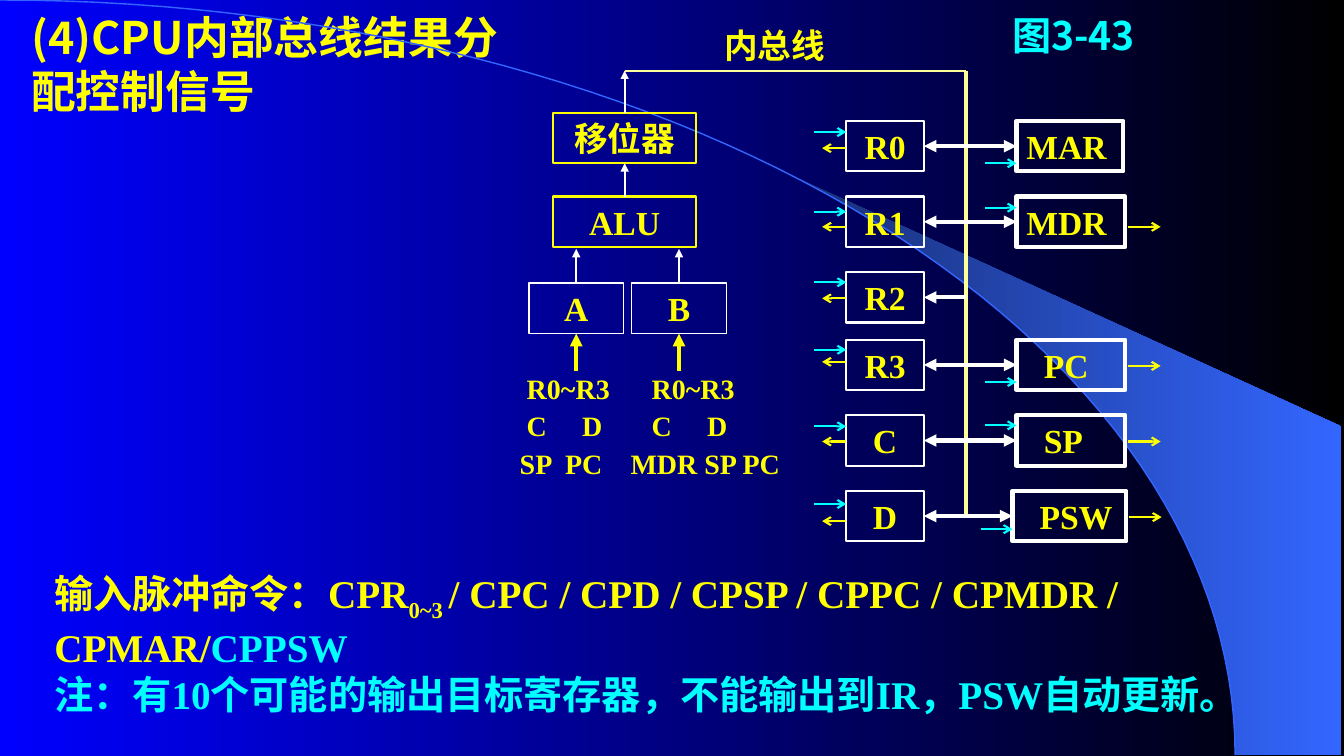
from math import cos, pi, sin

from lxml.etree import SubElement
from pptx import Presentation
from pptx.dml.color import RGBColor
from pptx.enum.shapes import MSO_CONNECTOR as CONNECTOR, MSO_SHAPE as SHAPE
from pptx.enum.text import MSO_ANCHOR as ANCHOR, MSO_AUTO_SIZE as AUTO_SIZE, PP_ALIGN as ALIGN
from pptx.oxml.ns import qn
from pptx.util import Inches, Pt

YELLOW = RGBColor(0xFF, 0xFF, 0x00)
CYAN = RGBColor(0x00, 0xFF, 0xFF)
WHITE = RGBColor(0xFF, 0xFF, 0xFF)
BUS_YELLOW = RGBColor(0xFF, 0xFF, 0x99)
BLUE = RGBColor(0x00, 0x00, 0xFF)
BLACK = RGBColor(0x00, 0x00, 0x00)
NAVY = RGBColor(0x18, 0x2F, 0x76)
SKY = RGBColor(0x33, 0x66, 0xFF)
SERIF = "Times New Roman"
SANS = "Noto Sans CJK SC"

TOP, LEFT, BOTTOM, RIGHT = range(4)
BOX_HEIGHT = 0.5
REGISTER_X, REGISTER_WIDTH = 8.4, 0.77
BUS_X, BUS_Y = 9.59, 0.7
SHIFTER_X = 6.2

# name, top, input pulse y, output y
REGISTERS = [
    ("R0", 1.2, 1.31, 1.47),
    ("R1", 1.95, 2.1, 2.25),
    ("R2", 2.7, 2.8, 2.96),
    ("R3", 3.37, 3.47, 3.59),
    ("C", 4.12, 4.23, 4.38),
    ("D", 4.87, 5.0, 5.17),
]
# facing register: name, left, width, text indent, input pulse y, output y
PARTNERS = {
    "R0": ("MAR", 10.09, 1.06, 0, 1.62, None),
    "R1": ("MDR", 10.09, 1.08, 0, 2.06, 2.25),
    "R3": ("PC", 10.09, 1.08, 0.17, 3.79, 3.63),
    "C": ("SP", 10.09, 1.08, 0.17, 4.22, 4.38),
    "D": ("PSW", 10.05, 1.13, 0.17, 5.25, 5.13),
}


def add_run(paragraph, text, size, color=YELLOW, font=SERIF, baseline=0):
    run = paragraph.add_run()
    run.text = text
    run.font.size = Pt(size)
    run.font.bold = True
    run.font.color.rgb = color
    run.font.name = font
    properties = run._r.get_or_add_rPr()
    SubElement(properties, qn("a:ea")).set("typeface", SANS)
    if baseline:
        properties.set("baseline", str(baseline * 1000))


def add_text_box(slide, x, y, width, height):
    frame = slide.shapes.add_textbox(Inches(x), Inches(y), Inches(width), Inches(height)).text_frame
    frame.word_wrap = True
    return frame


def add_label(slide, text, x, y, width, height, size, color, font):
    paragraph = add_text_box(slide, x, y, width, height).paragraphs[0]
    paragraph.alignment = ALIGN.CENTER
    add_run(paragraph, text, size, color, font)


def add_unit(slide, name, x, y, width, color=WHITE, weight=1.5, align=ALIGN.CENTER, indent=0):
    """Outlined box for a register or an arithmetic unit."""
    unit = slide.shapes.add_shape(SHAPE.RECTANGLE, Inches(x), Inches(y),
                                  Inches(width), Inches(BOX_HEIGHT))
    unit.shadow.inherit = False
    unit.fill.background()
    unit.line.color.rgb = color
    unit.line.width = Pt(weight)
    frame = unit.text_frame
    frame.word_wrap = True
    frame.vertical_anchor = ANCHOR.TOP
    frame.margin_left = Inches(0.1 + indent)
    frame.paragraphs[0].alignment = align
    add_run(frame.paragraphs[0], name, 24)
    return unit


def add_wire(slide, start, end, color=WHITE, weight=1.5, head=None, tail=None):
    """Line whose ends are either (x, y) points or (unit, side) joints."""
    wire = slide.shapes.add_connector(CONNECTOR.STRAIGHT, 0, 0, 0, 0)
    first, second = start
    if isinstance(first, (int, float)):
        wire.begin_x, wire.begin_y = Inches(first), Inches(second)
    else:
        wire.begin_connect(first, second)
    first, second = end
    if isinstance(first, (int, float)):
        wire.end_x, wire.end_y = Inches(first), Inches(second)
    else:
        wire.end_connect(first, second)
    wire.line.color.rgb = color
    wire.line.width = Pt(weight)
    outline = wire.line._get_or_add_ln()
    for tag, kind in (("a:headEnd", head), ("a:tailEnd", tail)):
        if kind:
            SubElement(outline, qn(tag)).set("type", kind)
    SubElement(wire._element.spPr, qn("a:effectLst"))


def set_gradient(fill, start, end):
    fill.gradient()
    fill.gradient_angle = 0
    for stop, color in zip(fill.gradient_stops, (start, end)):
        stop.color.rgb = color


def add_outline(slide, points, close):
    corners = [(Inches(x), Inches(y)) for x, y in points]
    builder = slide.shapes.build_freeform(*corners[0])
    builder.add_line_segments(corners[1:], close=close)
    outline = builder.convert_to_shape()
    outline.shadow.inherit = False
    return outline


def horizon(start, steps=60):
    """Points of the quarter ellipse from the start angle to its right end."""
    angles = [start + (pi / 2 - start) * step / steps for step in range(steps + 1)]
    return [(12.26 * sin(angle), 7.49 * (1 - cos(angle))) for angle in angles]


def add_backdrop(slide):
    set_gradient(slide.background.fill, BLUE, BLACK)
    beam = add_outline(slide, horizon(0.696) + [(13.31, 7.49), (13.31, 4.23)], True)
    set_gradient(beam.fill, NAVY, SKY)
    beam.line.fill.background()
    arc = add_outline(slide, horizon(0), False)
    arc.fill.background()
    arc.line.color.rgb = SKY
    arc.line.width = Pt(1)


def set_title(slide):
    title = slide.shapes.title
    title.left, title.top, title.width, title.height = map(Inches, (0.21, 0.05, 5.04, 1.17))
    frame = title.text_frame
    frame.auto_size = AUTO_SIZE.NONE
    frame.vertical_anchor = ANCHOR.TOP
    frame.paragraphs[0].alignment = ALIGN.LEFT
    add_run(frame.paragraphs[0], "(4)CPU内部总线结果分配控制信号", 32, font=SANS)


def add_arithmetic_path(slide):
    shifter = add_unit(slide, "移位器", 5.49, 1.12, 1.42, YELLOW)
    alu = add_unit(slide, "ALU", 5.49, 1.95, 1.42, YELLOW)
    add_wire(slide, (shifter, TOP), (SHIFTER_X, BUS_Y), tail="triangle")
    add_wire(slide, (alu, TOP), (shifter, BOTTOM), tail="triangle")
    for name, x in (("A", 5.25), ("B", 6.27)):
        latch = add_unit(slide, name, x, 2.81, 0.94, weight=1)
        center = x + 0.47
        add_wire(slide, (latch, TOP), (center, 2.47), tail="triangle")
        add_wire(slide, (center, 3.68), (latch, BOTTOM), YELLOW, 3, tail="triangle")


def add_latch_sources(slide):
    frame = add_text_box(slide, 4.86, 3.75, 3.15, 1.05)
    lines = [
        ("\tR0~R3\tR0~R3", (0.27, 1.51)),
        ("\tC\tD\tC\tD", (0.27, 0.82, 1.51, 2.06)),
        ("\tSP\tPC\tMDR SP PC", (0.2, 0.65, 1.3)),
    ]
    for index, (text, stops) in enumerate(lines):
        paragraph = frame.add_paragraph() if index else frame.paragraphs[0]
        paragraph.line_spacing = 0.6
        paragraph.space_before = Pt(12.5 if index else 0)
        tabs = SubElement(paragraph._p.get_or_add_pPr(), qn("a:tabLst"))
        for stop in stops:
            SubElement(tabs, qn("a:tab"), pos=str(Inches(stop)), algn="l")
        add_run(paragraph, text, 20)


def add_registers(slide):
    add_wire(slide, (SHIFTER_X, BUS_Y), (BUS_X, BUS_Y), BUS_YELLOW)
    add_wire(slide, (BUS_X, BUS_Y), (BUS_X, 5.1), BUS_YELLOW, 3)
    for name, top, input_y, output_y in REGISTERS:
        register = add_unit(slide, name, REGISTER_X, top, REGISTER_WIDTH)
        add_wire(slide, (REGISTER_X - 0.32, input_y), (REGISTER_X, input_y), CYAN, tail="arrow")
        add_wire(slide, (REGISTER_X, output_y), (REGISTER_X - 0.24, output_y), YELLOW, tail="arrow")
        if name not in PARTNERS:
            add_wire(slide, (BUS_X, top + BOX_HEIGHT / 2), (register, RIGHT), weight=3, tail="triangle")
            continue
        partner_name, x, width, indent, input_y, output_y = PARTNERS[name]
        partner = add_unit(slide, partner_name, x, top, width, weight=3, align=ALIGN.LEFT, indent=indent)
        add_wire(slide, (partner, LEFT), (register, RIGHT), weight=3, head="triangle", tail="triangle")
        add_wire(slide, (x - 0.31, input_y), (x, input_y), CYAN, tail="arrow")
        if output_y:
            start = x + width + 0.03
            add_wire(slide, (start, output_y), (start + 0.32, output_y), YELLOW, tail="arrow")


def add_pulse_commands(slide):
    frame = add_text_box(slide, 0.44, 5.6, 12.85, 1.57)
    commands = frame.paragraphs[0]
    add_run(commands, "输入脉冲命令：CPR", 28)
    add_run(commands, "0~3 ", 28, baseline=-25)
    add_run(commands, "/ CPC / CPD / CPSP / CPPC / CPMDR / CPMAR/", 28)
    add_run(commands, "CPPSW", 28, CYAN)
    add_run(frame.add_paragraph(), "注：有10个可能的输出目标寄存器，不能输出到IR，PSW自动更新。", 28, CYAN)


def main():
    deck = Presentation()
    deck.slide_width, deck.slide_height = Inches(13.34), Inches(7.5)
    slide = deck.slides.add_slide(deck.slide_layouts[5])
    add_backdrop(slide)
    set_title(slide)
    add_label(slide, "内总线", 6.92, 0.2, 1.54, 0.5, 24, YELLOW, SERIF)
    add_label(slide, "图3-43", 9.67, 0.06, 1.97, 0.57, 28, CYAN, SANS)
    add_arithmetic_path(slide)
    add_latch_sources(slide)
    add_registers(slide)
    add_pulse_commands(slide)
    deck.save("out.pptx")


if __name__ == "__main__":
    main()
